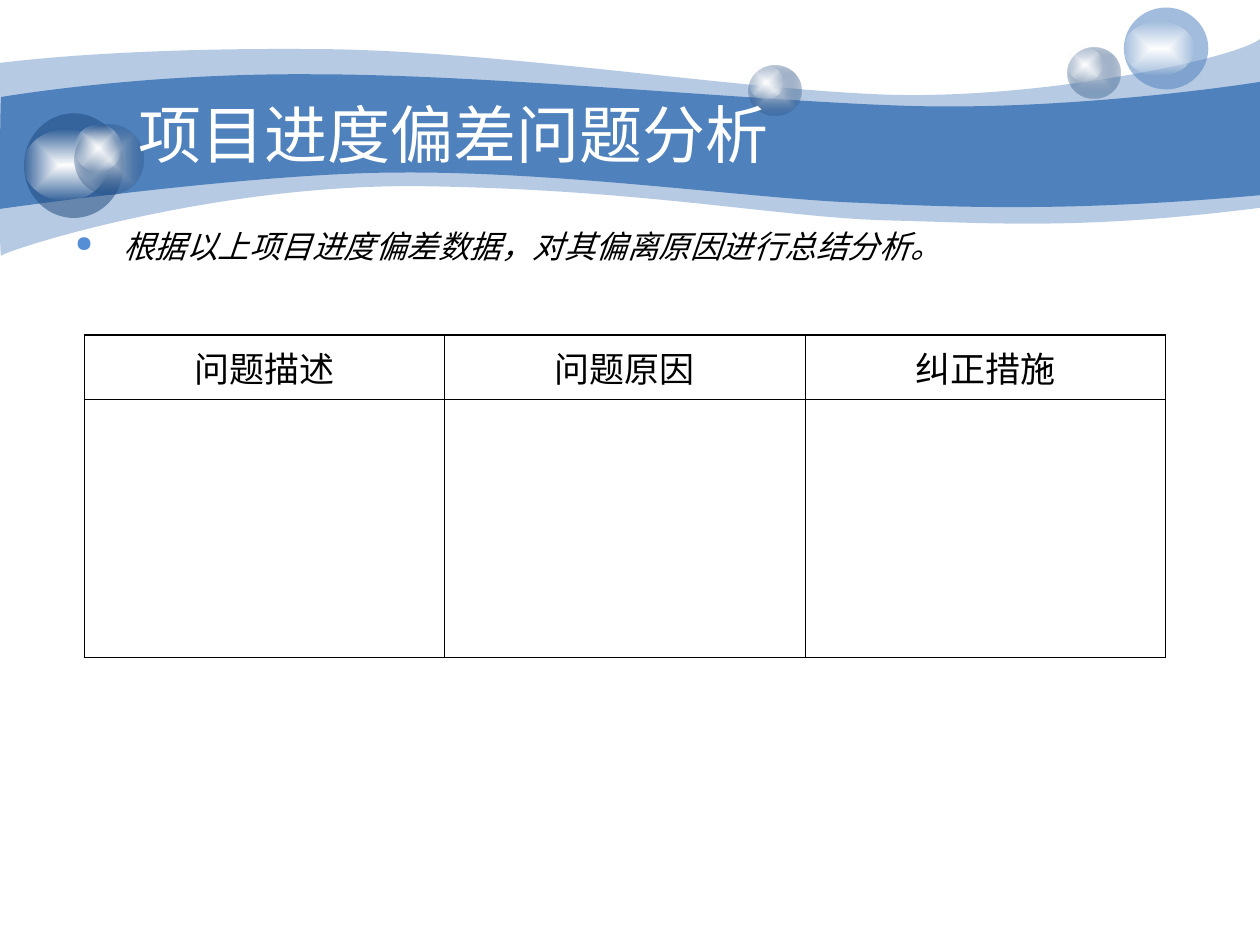
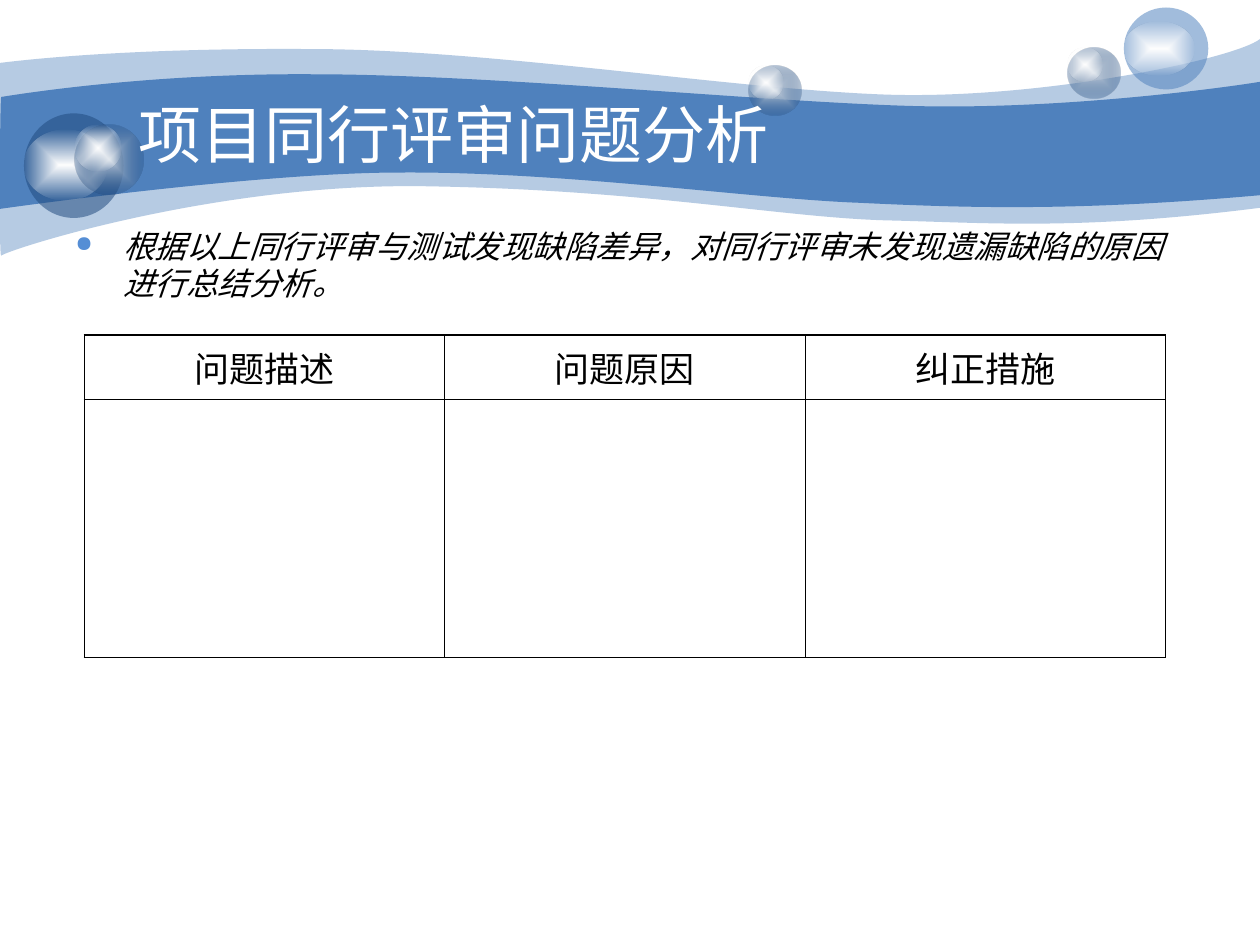
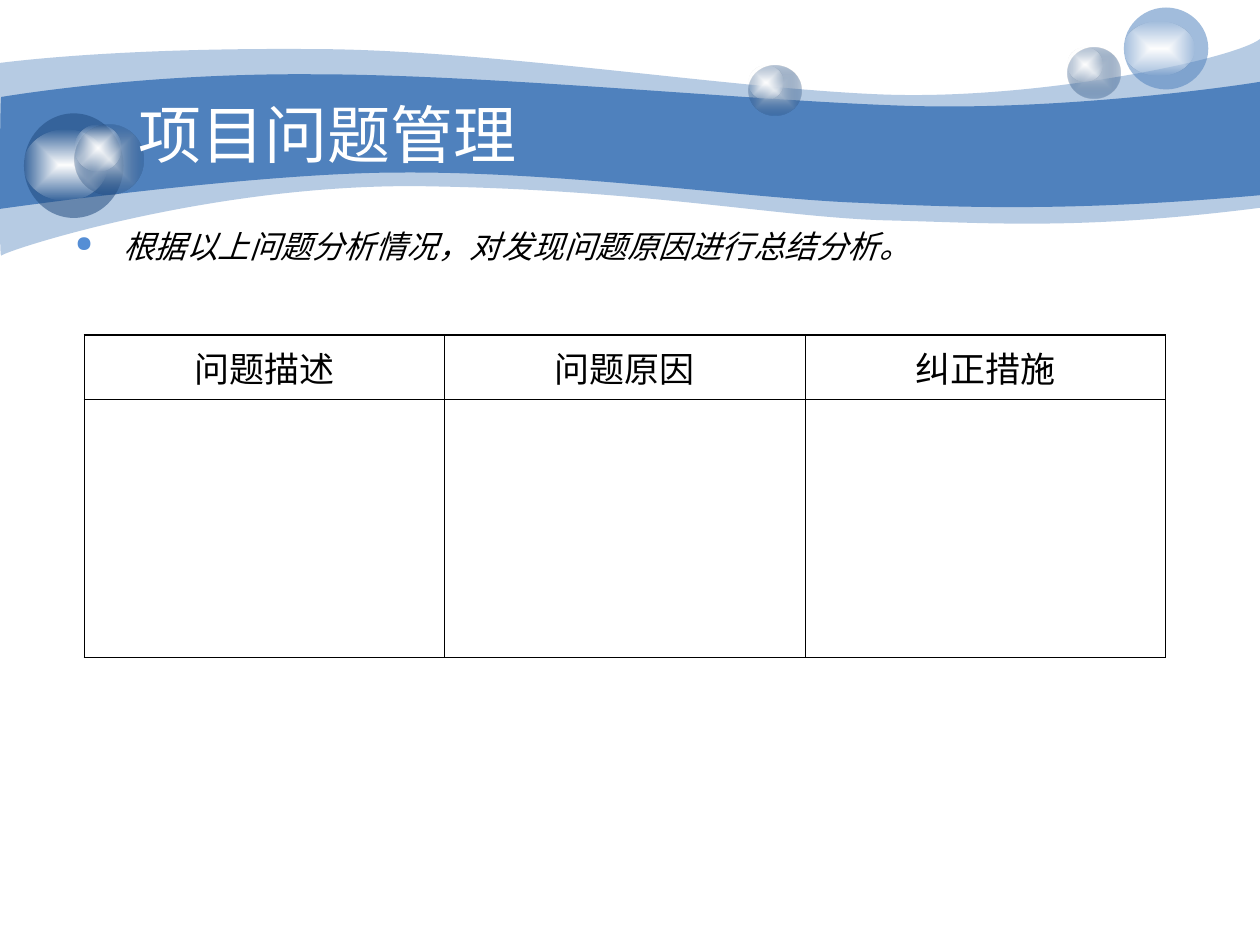
from lxml import etree
from pptx import Presentation
from pptx.dml.color import RGBColor
from pptx.enum.shapes import MSO_SHAPE
from pptx.enum.text import MSO_ANCHOR, PP_ALIGN
from pptx.oxml import parse_xml
from pptx.oxml.ns import nsdecls, qn
from pptx.util import Inches, Pt

COLORS = {
    "band": "4F81BD",
    "navy": "1F497D",
    "mist": "C6D1DE",
    "white": "FFFFFF",
    "black": "000000",
    "bullet": "558ED5",
}
TEXT_FONT = "Noto Sans CJK SC"
TABLE_FONT = "Arial"

SLIDES = [
    ("项目进度偏差问题分析", "根据以上项目进度偏差数据，对其偏离原因进行总结分析。"),
    ("项目同行评审问题分析",
     "根据以上同行评审与测试发现缺陷差异，对同行评审未发现遗漏缺陷的原因进行总结分析。"),
    ("项目问题管理", "根据以上问题分析情况，对发现问题原因进行总结分析。"),
]
TABLE_HEADERS = ["问题描述", "问题原因", "纠正措施"]

# Waves: opacity in percent, start point, then segments.
# One point makes a straight line, three points a Bezier curve.
WAVES = [
    (41, (0, 0.5), [
        [(0.24, 0.47), (1.07, 0.38), (2.47, 0.39)],
        [(3.86, 0.39), (5.75, 0.7), (6.99, 0.75)],
        [(8.22, 0.8), (9.8, 0.47), (10, 0.31)],
        [(10, 1.65)],
        [(8.58, 1.83), (7.87, 1.77), (7.05, 1.75)],
        [(6.22, 1.73), (5.15, 1.51), (3.43, 1.48)],
        [(1.72, 1.44), (0.04, 1.99), (0.01, 2.03)],
        [(-0.01, 2.08), (0, 0.75), (0, 0.5)],
    ]),
    (100, (0.01, 0.77), [
        [(0.02, 0.77), (1.1, 0.58), (2.48, 0.59)],
        [(3.86, 0.59), (5.95, 0.8), (7.18, 0.84)],
        [(8.41, 0.88), (9.76, 0.69), (10, 0.65)],
        [(10, 1.55)],
        [(8.53, 1.68), (7.65, 1.65), (6.82, 1.61)],
        [(5.99, 1.58), (4.47, 1.36), (3.17, 1.37)],
        [(2.03, 1.37), (-0.02, 1.66), (-0.01, 1.66)],
        [(0, 1.66), (0, 0.77), (0.01, 0.77)],
    ]),
]

# Bubbles: body box, highlight box, flat body colour (None for a shaded body)
BUBBLES = [
    ((8.47, 0.38, 0.42, 0.4), (8.47, 0.38, 0.28, 0.27), None),
    ((8.92, 0.06, 0.67, 0.65), (8.92, 0.17, 0.56, 0.43), "band"),
    ((0.19, 0.9, 0.79, 0.83), (0.19, 1.03, 0.66, 0.56), "navy"),
    ((0.59, 0.99, 0.55, 0.55), (0.59, 0.99, 0.37, 0.37), None),
    ((5.94, 0.52, 0.42, 0.4), (5.94, 0.52, 0.28, 0.27), None),
]
FLAT_OPACITY, SHADE_OPACITY = 53, 31

TITLE_BOX = (1, 0.75, 8.08, 0.62)
SUMMARY_BOX = (0.5, 1.75, 9, 0.94)
TABLE_LEFT, TABLE_TOP, COLUMN_WIDTH = 0.67, 2.66, 2.86
ROW_HEIGHTS = [0.51, 2.05]
OUTER_LINE, INNER_LINE = 1.08, 0.45


def inches(box):
    return [Inches(length) for length in box]


def fill_solid(shape, color, opacity=100):
    shape.fill.solid()
    shape.fill.fore_color.rgb = RGBColor.from_string(COLORS[color])
    if opacity < 100:
        srgb = shape._element.spPr.find(".//" + qn("a:srgbClr"))
        etree.SubElement(srgb, qn("a:alpha"), val=str(opacity * 1000))


def fill_glow(shape, center, edge, edge_opacity):
    """Shade from the centre colour to a partly transparent edge."""
    shape.fill.background()
    properties = shape._element.spPr
    properties.replace(properties.find(qn("a:noFill")), parse_xml(
        f'<a:gradFill {nsdecls("a")} rotWithShape="1"><a:gsLst>'
        f'<a:gs pos="0"><a:srgbClr val="{COLORS[center]}"/></a:gs>'
        f'<a:gs pos="100000"><a:srgbClr val="{COLORS[edge]}">'
        f'<a:alpha val="{edge_opacity * 1000}"/></a:srgbClr></a:gs></a:gsLst>'
        '<a:path path="rect"><a:fillToRect l="50000" t="50000" r="50000" b="50000"/>'
        '</a:path></a:gradFill>'))


def remove_outline(shape):
    shape.shadow.inherit = False
    shape.line.fill.background()


def bend(shape, segments):
    """Turn each run of three straight lines into one Bezier curve."""
    lines = iter(shape._element.findall(".//" + qn("a:lnTo")))
    for segment in segments:
        legs = [next(lines) for _ in segment]
        if len(legs) == 3:
            curve = etree.Element(qn("a:cubicBezTo"))
            legs[0].addprevious(curve)
            for leg in legs:
                curve.append(leg[0])
                leg.getparent().remove(leg)


def add_waves(slide):
    for opacity, start, segments in WAVES:
        builder = slide.shapes.build_freeform(*inches(start))
        builder.add_line_segments(
            [inches(point) for segment in segments for point in segment], close=True)
        wave = builder.convert_to_shape()
        bend(wave, segments)
        fill_solid(wave, "band", opacity)
        remove_outline(wave)


def add_bubbles(slide):
    for body_box, highlight_box, flat_color in BUBBLES:
        group = slide.shapes.add_group_shape()
        body, highlight = [group.shapes.add_shape(MSO_SHAPE.OVAL, *inches(box))
                           for box in (body_box, highlight_box)]
        if flat_color:
            fill_solid(body, flat_color, FLAT_OPACITY)
        else:
            fill_glow(body, "mist", "navy", SHADE_OPACITY)
        fill_glow(highlight, "white", "white", 0)
        remove_outline(body)
        remove_outline(highlight)


def write(frame, text, size, color, font=TEXT_FONT, italic=None):
    frame.text = text
    paragraph = frame.paragraphs[0]
    run = paragraph.runs[0]
    run.font.size = Pt(size)
    run.font.name = font
    run.font.italic = italic
    run.font.color.rgb = RGBColor.from_string(COLORS[color])
    east_asian = etree.Element(qn("a:ea"), typeface=TEXT_FONT)
    run.font._element.find(qn("a:latin")).addnext(east_asian)
    return paragraph


def add_title(slide, title):
    frame = slide.shapes.add_textbox(*inches(TITLE_BOX)).text_frame
    frame.word_wrap = True
    frame.vertical_anchor = MSO_ANCHOR.MIDDLE
    write(frame, title, 36, "white")


def add_summary(slide, summary):
    frame = slide.shapes.add_textbox(*inches(SUMMARY_BOX)).text_frame
    frame.word_wrap = True
    paragraph = write(frame, summary, 18, "black", italic=True)
    properties = paragraph._p.get_or_add_pPr()
    properties.set("marL", str(Inches(0.38)))
    properties.set("indent", str(-Inches(0.38)))
    bullet_color = etree.SubElement(properties, qn("a:buClr"))
    etree.SubElement(bullet_color, qn("a:srgbClr"), val=COLORS["bullet"])
    etree.SubElement(properties, qn("a:buSzPct"), val="70000")
    etree.SubElement(properties, qn("a:buChar"), char="●")


def set_borders(cell, outer_sides):
    properties = cell._tc.get_or_add_tcPr()
    for position, side in enumerate("LRTB"):
        width = Pt(OUTER_LINE if side in outer_sides else INNER_LINE)
        properties.insert(position, parse_xml(
            f'<a:ln{side} {nsdecls("a")} w="{width}"><a:solidFill>'
            f'<a:srgbClr val="{COLORS["black"]}"/></a:solidFill></a:ln{side}>'))


def add_problem_table(slide):
    rows, columns = len(ROW_HEIGHTS), len(TABLE_HEADERS)
    table = slide.shapes.add_table(rows, columns, *inches(
        (TABLE_LEFT, TABLE_TOP, columns * COLUMN_WIDTH, sum(ROW_HEIGHTS)))).table
    table.first_row = table.horz_banding = False
    for row, height in zip(table.rows, ROW_HEIGHTS):
        row.height = Inches(height)
    for c, header in enumerate(TABLE_HEADERS):
        table.columns[c].width = Inches(COLUMN_WIDTH)
        heading = write(table.cell(0, c).text_frame, header, 20, "black", TABLE_FONT)
        heading.alignment = PP_ALIGN.CENTER
        for r in range(rows):
            cell = table.cell(r, c)
            cell.fill.background()
            edges = {"L": c == 0, "R": c == columns - 1, "T": r == 0, "B": r == rows - 1}
            set_borders(cell, [side for side, is_outer in edges.items() if is_outer])


def main():
    presentation = Presentation()
    presentation.slide_width, presentation.slide_height = Inches(10), Inches(7.5)
    for title, summary in SLIDES:
        slide = presentation.slides.add_slide(presentation.slide_layouts[6])
        add_waves(slide)
        add_bubbles(slide)
        add_title(slide, title)
        add_summary(slide, summary)
        add_problem_table(slide)
    presentation.save("out.pptx")


if __name__ == "__main__":
    main()
